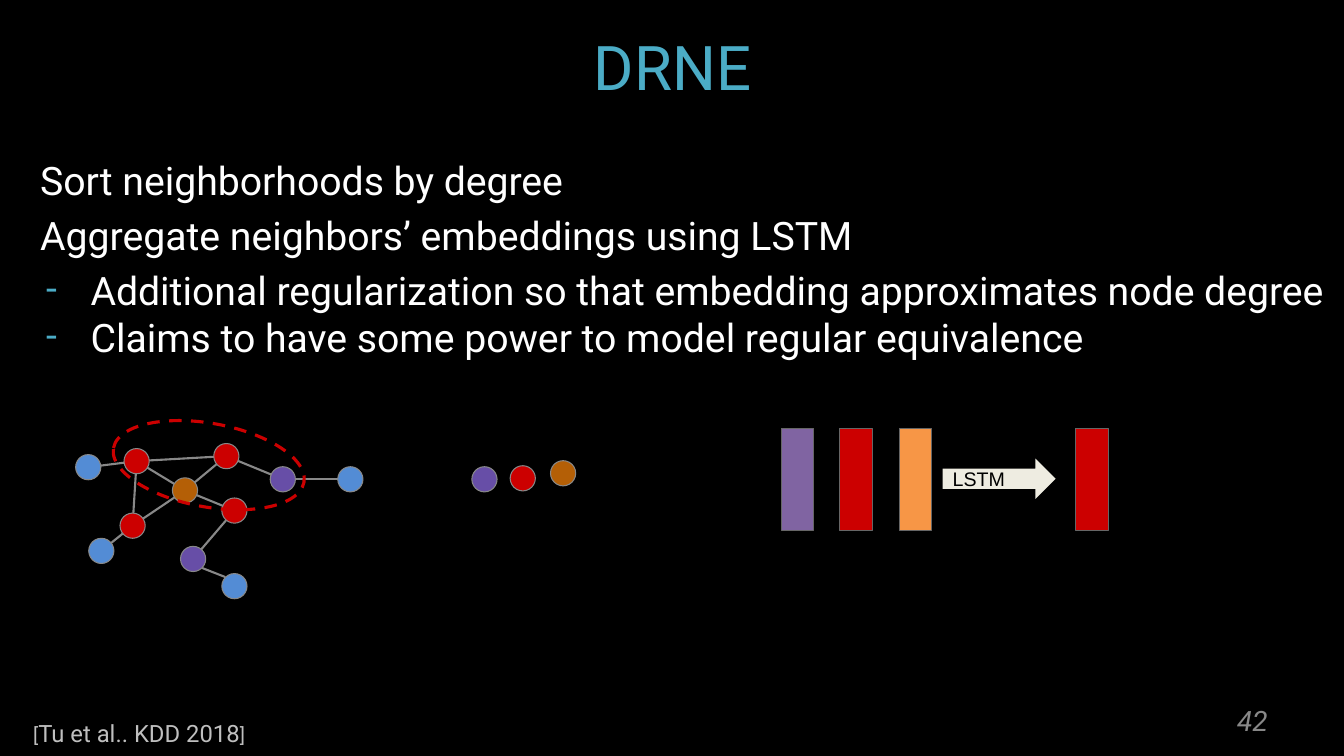
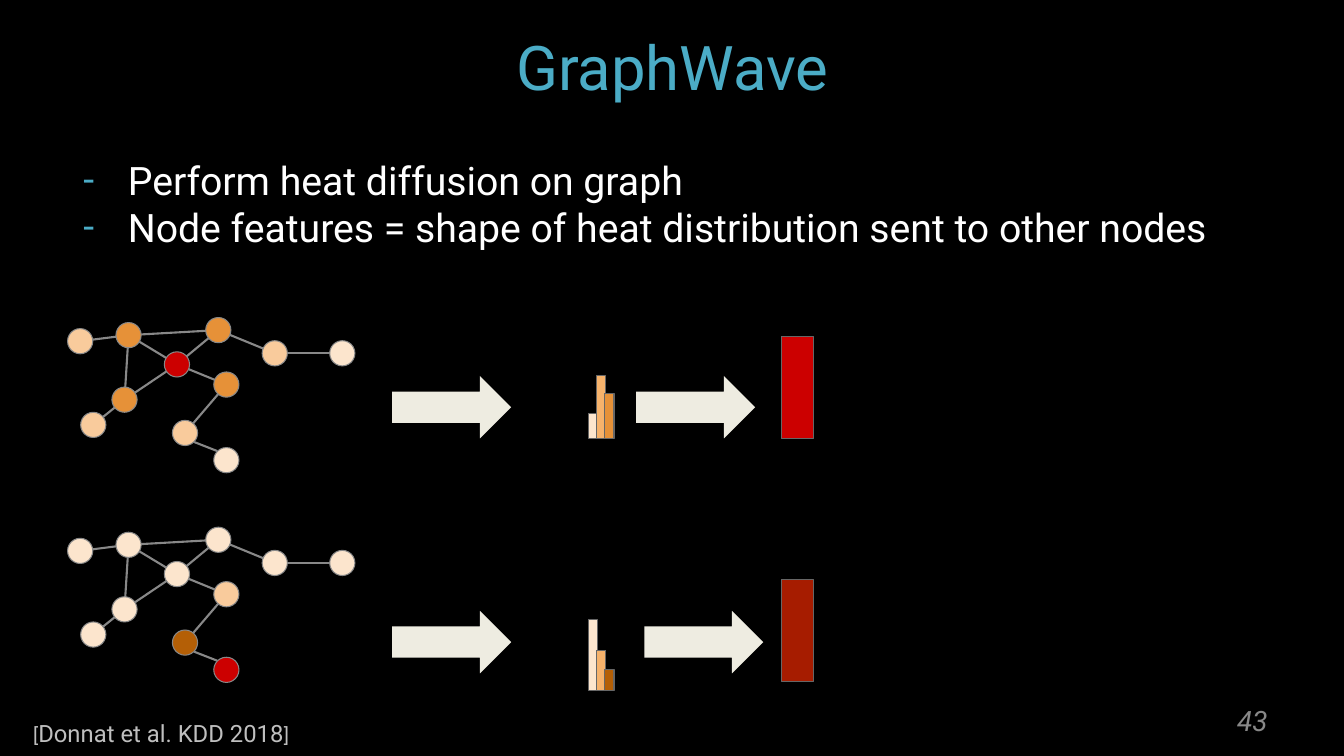
from lxml import etree
from pptx import Presentation
from pptx.dml.color import RGBColor
from pptx.enum.dml import MSO_LINE
from pptx.enum.shapes import MSO_CONNECTOR, MSO_SHAPE
from pptx.enum.text import MSO_ANCHOR, PP_ALIGN
from pptx.oxml.ns import qn
from pptx.util import Inches, Pt

LEFT, CENTER, RIGHT = PP_ALIGN.LEFT, PP_ALIGN.CENTER, PP_ALIGN.RIGHT
TOP, MIDDLE = MSO_ANCHOR.TOP, MSO_ANCHOR.MIDDLE
OVAL, RECT, ARROW = MSO_SHAPE.OVAL, MSO_SHAPE.RECTANGLE, MSO_SHAPE.RIGHT_ARROW
STRAIGHT, DASH = MSO_CONNECTOR.STRAIGHT, MSO_LINE.DASH

BLACK = RGBColor(0x00, 0x00, 0x00)
WHITE = RGBColor(0xFF, 0xFF, 0xFF)
TEAL = RGBColor(0x4B, 0xAC, 0xC6)
GRAY = RGBColor(0x88, 0x88, 0x88)
DARK_GRAY = RGBColor(0x66, 0x66, 0x66)
LIGHT_GRAY = RGBColor(0xBF, 0xBF, 0xBF)
IVORY = RGBColor(0xEE, 0xEC, 0xE1)
RED = RGBColor(0xCC, 0x00, 0x00)
BRICK = RGBColor(0xA6, 0x1C, 0x00)
BROWN = RGBColor(0xB4, 0x5F, 0x06)
PURPLE = RGBColor(0x67, 0x4E, 0xA7)
LAVENDER = RGBColor(0x80, 0x64, 0xA2)
BLUE = RGBColor(0x53, 0x8C, 0xD5)
ORANGE = RGBColor(0xF7, 0x96, 0x46)
HOT = RGBColor(0xE6, 0x91, 0x38)
WARM = RGBColor(0xF6, 0xB2, 0x6B)
MILD = RGBColor(0xF9, 0xCB, 0x9C)
COOL = RGBColor(0xFC, 0xE5, 0xCD)

# Graph layout: top-left corner of each node, relative to the graph's origin
NODE_SIZE = 0.25
NODES = {
    "center": (0.96, 0.34), "top": (1.37, 0), "lower right": (1.45, 0.54),
    "hub": (0.48, 0.05), "right": (1.93, 0.23), "low": (1.04, 1.02),
    "far left": (0, 0.11), "lower left": (0.44, 0.69),
    "bottom left": (0.13, 0.94), "far right": (2.6, 0.23),
    "bottom": (1.45, 1.29),
}
# Each edge: two nodes and how far its ends sit diagonally from their centers
EDGES = [
    ("center", "top", 0), ("center", "hub", 0), ("center", "lower left", 0),
    ("center", "lower right", 0), ("lower left", "hub", 0), ("hub", "top", 0),
    ("right", "top", 0), ("hub", "far left", 0), ("lower right", "low", 0),
    ("lower left", "bottom left", 0), ("right", "far right", 0),
    ("low", "bottom", 0.09),
]


class Deck:
    FONT = "Roboto"

    def __init__(self):
        self.prs = Presentation()
        self.prs.slide_width, self.prs.slide_height = Inches(13.33), Inches(7.5)

    def new_slide(self, title, citation, number):
        self.slide = self.prs.slides.add_slide(self.prs.slide_layouts[6])
        fill = self.slide.background.fill
        fill.solid()
        fill.fore_color.rgb = BLACK
        self.text(title, 0.67, 0.03, 12, 1.25, 44, TEAL, CENTER)
        self.text(number, 9.98, 6.95, 2.69, 0.4, 20, GRAY, RIGHT, italic=True)
        self.citation(citation)

    def style(self, paragraph, size, color, font=FONT, italic=None):
        paragraph.font.name, paragraph.font.size = font, Pt(size)
        paragraph.font.color.rgb, paragraph.font.italic = color, italic

    def box(self, x, y, w, h, anchor, inset=0.05):
        box = self.slide.shapes.add_textbox(Inches(x), Inches(y), Inches(w), Inches(h))
        frame = box.text_frame
        frame.word_wrap, frame.vertical_anchor = True, anchor
        frame.margin_top = frame.margin_bottom = Inches(inset)
        return frame

    def text(self, text, x, y, w, h, size, color, align, italic=None):
        paragraph = self.box(x, y, w, h, MIDDLE).paragraphs[0]
        paragraph.text, paragraph.alignment = text, align
        self.style(paragraph, size, color, italic=italic)

    def citation(self, source):
        paragraph = self.box(0.23, 7.03, 11.34, 0.49, TOP, 0.1).paragraphs[0]
        self.style(paragraph, 17, LIGHT_GRAY)
        for part, size in (("[", 14), (source, 17), ("]", 14)):
            run = paragraph.add_run()
            run.text, run.font.size = part, Pt(size)

    def body(self, x, w, h, statements, bullets):
        frame = self.box(x, 1.5, w, h, TOP)
        for i, line in enumerate(statements + bullets):
            paragraph = frame.add_paragraph() if i else frame.paragraphs[0]
            paragraph.text = line
            if i and i <= len(statements):
                paragraph.space_before = Pt(5.6)
            if i >= len(statements):
                self.bullet(paragraph)
            self.style(paragraph, 28, WHITE)

    def bullet(self, paragraph):
        props = paragraph._p.get_or_add_pPr()
        props.set("marL", str(Inches(0.5)))
        props.set("indent", str(Inches(-0.44)))
        color = etree.SubElement(props, qn("a:buClr"))
        etree.SubElement(color, qn("a:srgbClr"), val=str(TEAL))
        etree.SubElement(props, qn("a:buFont"), typeface=self.FONT)
        etree.SubElement(props, qn("a:buChar"), char="-")

    def shape(self, kind, x, y, w, h, fill=None, line=None, width=0.75):
        shape = self.slide.shapes.add_shape(kind, Inches(x), Inches(y), Inches(w), Inches(h))
        shape.shadow.inherit = False
        if fill is None:
            shape.fill.background()
        else:
            shape.fill.solid()
            shape.fill.fore_color.rgb = fill
        if line is None:
            shape.line.fill.background()
        else:
            shape.line.color.rgb, shape.line.width = line, Pt(width)
        return shape

    def node(self, x, y, fill):
        self.shape(OVAL, x, y, NODE_SIZE, NODE_SIZE, fill, GRAY)

    def edge(self, x1, y1, x2, y2):
        edge = self.slide.shapes.add_connector(
            STRAIGHT, Inches(x1), Inches(y1), Inches(x2), Inches(y2))
        edge.line.color.rgb, edge.line.width = GRAY, Pt(1.5)
        etree.SubElement(edge._element.spPr, qn("a:effectLst"))

    def graph(self, x, y, default, colors):
        """Draw the sample graph; nodes not listed in colors get the default."""
        for start, end, trim in EDGES:
            (x1, y1), (x2, y2) = NODES[start], NODES[end]
            out, back = NODE_SIZE / 2 + trim, NODE_SIZE / 2 - trim
            self.edge(x + x1 + out, y + y1 + out, x + x2 + back, y + y2 + back)
        for name, (dx, dy) in NODES.items():
            self.node(x + dx, y + dy, colors.get(name, default))

    def embedding(self, x, y, fill):
        self.shape(RECT, x, y, 0.32, 1.01, fill, DARK_GRAY)

    def arrow(self, x, y, w=1.18, h=0.62, label=None):
        arrow = self.shape(ARROW, x, y, w, h, IVORY)
        if label:
            frame = arrow.text_frame
            frame.word_wrap, frame.vertical_anchor = True, MIDDLE
            frame.margin_top = frame.margin_bottom = Inches(0.1)
            paragraph = frame.paragraphs[0]
            paragraph.text, paragraph.alignment = label, LEFT
            self.style(paragraph, 14, BLACK, "Arial")

    def histogram(self, x, bottom, bars):
        for i, (height, fill) in enumerate(bars):
            self.shape(RECT, x + 0.08 * i, bottom - height, 0.09, height, fill, DARK_GRAY)


def drne(deck):
    deck.new_slide("DRNE", "Tu et al.. KDD 2018", "42")
    deck.body(0.3, 13.06, 1.87, [
        "Sort neighborhoods by degree",
        "Aggregate neighbors’ embeddings using LSTM",
    ], [
        "Additional regularization so that embedding approximates node degree",
        "Claims to have some power to model regular equivalence",
    ])
    # Graph with the chosen neighborhood circled
    deck.graph(0.75, 4.4, BLUE, {
        "center": BROWN, "top": RED, "lower right": RED, "hub": RED,
        "lower left": RED, "right": PURPLE, "low": PURPLE})
    neighborhood = deck.shape(OVAL, 1.11, 4.2, 1.92, 0.83, line=RED, width=2.25)
    neighborhood.rotation = 10.2
    neighborhood.line.dash_style = DASH
    # Sorted neighbors
    for x, y, fill in ((4.68, 4.63, PURPLE), (5.06, 4.62, RED), (5.46, 4.57, BROWN)):
        deck.node(x, y, fill)
    # Embeddings aggregated into one
    for x, fill in ((7.75, LAVENDER), (8.33, RED), (8.92, ORANGE), (10.67, RED)):
        deck.embedding(x, 4.25, fill)
    deck.arrow(9.35, 4.55, 1.12, 0.4, "LSTM")


def graph_wave(deck):
    deck.new_slide("GraphWave", "Donnat et al. KDD 2018", "43")
    deck.body(0.67, 12, 1.25, [], [
        "Perform heat diffusion on graph",
        "Node features = shape of heat distribution sent to other nodes",
    ])
    # Heat from the center node
    deck.graph(0.67, 3.15, MILD, {
        "center": RED, "top": HOT, "lower right": HOT, "hub": HOT,
        "lower left": HOT, "far right": COOL, "bottom": COOL})
    deck.histogram(5.84, 4.35, [(0.25, COOL), (0.62, WARM), (0.45, HOT)])
    deck.embedding(7.75, 3.34, RED)
    # Heat from the bottom node
    deck.graph(0.67, 5.23, COOL, {"lower right": MILD, "low": BROWN, "bottom": RED})
    deck.histogram(5.84, 6.85, [(0.7, COOL), (0.4, WARM), (0.21, BROWN)])
    deck.embedding(7.75, 5.75, BRICK)
    # Arrows from graph to histogram to embedding
    for y, second in ((3.73, 6.31), (6.06, 6.39)):
        deck.arrow(3.89, y)
        deck.arrow(second, y)


def main():
    deck = Deck()
    drne(deck)
    graph_wave(deck)
    deck.prs.save("out.pptx")


if __name__ == "__main__":
    main()
